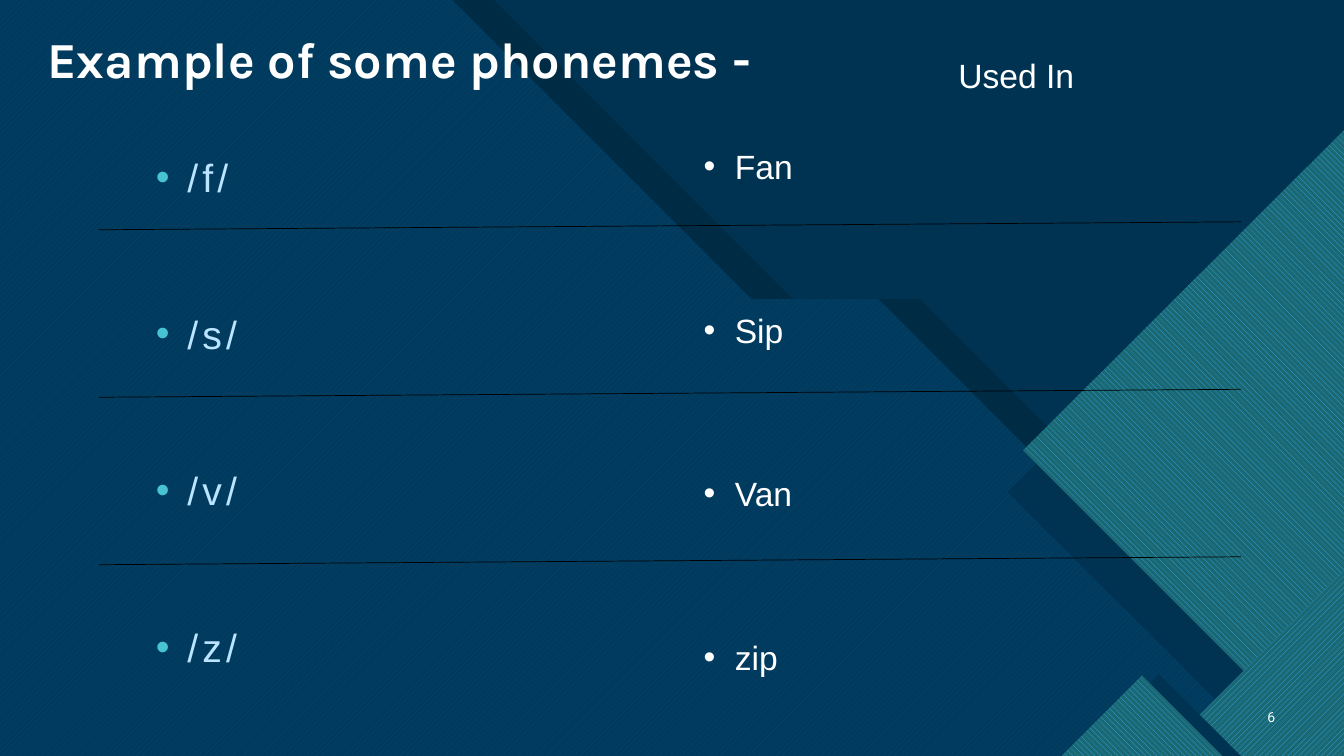
"""Build the phoneme example slide with its layered diagonal backdrop."""
from dataclasses import dataclass
from typing import Any, Optional

from lxml import etree
from pptx import Presentation
from pptx.dml.color import RGBColor
from pptx.enum.dml import MSO_PATTERN
from pptx.enum.shapes import MSO_CONNECTOR
from pptx.enum.text import MSO_ANCHOR, MSO_AUTO_SIZE, PP_ALIGN
from pptx.oxml.ns import qn
from pptx.util import Cm, Pt

UP = MSO_PATTERN.WIDE_UPWARD_DIAGONAL
DOWN = MSO_PATTERN.WIDE_DOWNWARD_DIAGONAL
STRAIGHT = MSO_CONNECTOR.STRAIGHT
TOP, MID, BASE = MSO_ANCHOR.TOP, MSO_ANCHOR.MIDDLE, MSO_ANCHOR.BOTTOM
LEFT, RIGHT = PP_ALIGN.LEFT, PP_ALIGN.RIGHT
FIXED = MSO_AUTO_SIZE.NONE

NAVY = RGBColor(0x00, 0x33, 0x52)
BLACK = RGBColor(0x00, 0x00, 0x00)
WHITE = RGBColor(0xFF, 0xFF, 0xFF)
AQUA = RGBColor(0x47, 0xC3, 0xD3)
BLUE = RGBColor(0x00, 0x65, 0xA4)
SKY = RGBColor(0x2F, 0xAF, 0xFF)
TEAL = RGBColor(0x1B, 0x68, 0x72)
PALE = RGBColor(0xBA, 0xE4, 0xFF)

WIDE, HIGH = 33.87, 19.05
STEP, FLAT = 7.54, 3.2
INDENT = 0.79

Points = list[tuple[float, float]]


@dataclass
class Panel:
    """A filled outline of the backdrop."""
    points: Points
    color: RGBColor
    back: Optional[RGBColor] = None
    hatch: Any = None
    alpha: int = 100


@dataclass
class Label:
    """A block of text and its format."""
    lines: list[str]
    box: tuple[float, float, float, float]
    size: float
    color: RGBColor = WHITE
    face: str = "Arial"
    bold: bool = False
    align: Any = LEFT
    anchor: Any = TOP
    leading: float = 1.0
    gap: float = 0
    track: int = 0
    dot: Optional[RGBColor] = None


def field(left: float) -> Points:
    """Give the stepped outline whose upper edge begins at left."""
    rise = min(HIGH, WIDE - FLAT - left)
    far = left + FLAT + rise
    return [(0, 0), (left, 0), (left + STEP, STEP), (left + STEP + FLAT, STEP),
            (far, rise), (far, HIGH), (0, HIGH)]


def peak(mid: float, top: float) -> Points:
    """Give a right-angled peak that stands on the lower edge."""
    half = HIGH - top
    return [(mid - half, HIGH), (mid, top), (mid + half, HIGH)]


PANELS = [
    Panel(field(12.45), BLACK),
    Panel(field(11.4), AQUA, BLUE, UP),
    Panel(field(17.65), NAVY, alpha=85),
    Panel([(WIDE, 3.94), (WIDE, 17.98), (30.99, 17.98), (25.4, 12.4)], NAVY),
    Panel([(WIDE, 3.28), (WIDE, 18.72), (33.15, 18.72), (25.78, 11.35)], SKY, TEAL, DOWN),
    Panel([(WIDE, 14.38), (WIDE, HIGH), (29.2, HIGH)], SKY, TEAL, UP),
    Panel(peak(29.21, 16.99), NAVY),
    Panel(peak(28.78, 17.02), SKY, TEAL, DOWN),
]

TITLE = Label(["Example of some phonemes -"], (0.94, 0, 21.62, 2.39), 36,
              face="Karla", bold=True, anchor=BASE, leading=0.9)
LABELS = [
    Label(["/f/", "/s/", "/v/", "/z/"], (3.68, 3.97, 9.5, 13.9), 28, PALE,
          leading=0.8, gap=85, track=300, dot=AQUA),
    Label(["6"], (31.27, 17.55, 1.12, 1.02), 10, face="Roboto", align=RIGHT, anchor=MID),
    Label(["Used In"], (23.9, 1.27, 3.45, 1.27), 24),
    Label(["Fan", "Sip", "Van", "zip"], (17.48, 3.56, 6.73, 13.59), 24, gap=88, dot=WHITE),
]


def apply(target: Any, values: dict[str, Any]) -> None:
    """Set each named value on the target."""
    for name, value in values.items():
        setattr(target, name, value)


def paint(shapes: Any, panel: Panel) -> None:
    """Draw one panel."""
    first, *rest = [(Cm(x), Cm(y)) for x, y in panel.points]
    pen = shapes.build_freeform(*first)
    pen.add_line_segments(rest)
    shape = pen.convert_to_shape()
    shape.shadow.inherit = False
    shape.line.fill.background()
    fill = shape.fill
    if panel.back is None:
        fill.solid()
    else:
        fill.patterned()
        fill.pattern = panel.hatch
        fill.back_color.rgb = panel.back
    fill.fore_color.rgb = panel.color
    if panel.alpha < 100:
        tint = next(shape.element.spPr.iter(qn("a:srgbClr")))
        etree.SubElement(tint, qn("a:alpha"), val=str(panel.alpha * 1000))


def add_dot(para: Any, color: RGBColor) -> None:
    """Give a paragraph a round bullet and a hanging indent."""
    props = para._p.get_or_add_pPr()
    props.set("marL", str(Cm(INDENT)))
    props.set("indent", str(-Cm(INDENT)))
    tint = etree.SubElement(props, qn("a:buClr"))
    etree.SubElement(tint, qn("a:srgbClr"), val=str(color))
    etree.SubElement(props, qn("a:buFont"), typeface="Arial")
    etree.SubElement(props, qn("a:buChar"), char="•")


def write(shape: Any, label: Label) -> None:
    """Place a text shape and fill it with the label."""
    left, top, width, height = map(Cm, label.box)
    apply(shape, {"left": left, "top": top, "width": width, "height": height})
    frame = shape.text_frame
    apply(frame, {"word_wrap": True, "auto_size": FIXED, "vertical_anchor": label.anchor})
    for index, line in enumerate(label.lines):
        para = frame.add_paragraph() if index else frame.paragraphs[0]
        if label.dot is not None:
            add_dot(para, label.dot)
        apply(para, {"alignment": label.align, "line_spacing": label.leading,
                     "space_before": Pt(label.gap if index else 0)})
        run = para.add_run()
        run.text = line
        apply(run.font, {"name": label.face, "size": Pt(label.size), "bold": label.bold})
        run.font.color.rgb = label.color
        if label.track:
            run._r.get_or_add_rPr().set("spc", str(label.track))


def rule(shapes: Any, top: float) -> None:
    """Draw one slightly rising line between rows."""
    line = shapes.add_connector(STRAIGHT, Cm(2.49), Cm(top), Cm(31.27), Cm(top - 0.2))
    line.line.color.rgb = BLACK
    line.line.width = Pt(0.5)
    etree.SubElement(line.element.spPr, qn("a:effectLst"))


def main() -> None:
    """Build and save the slide."""
    deck = Presentation()
    apply(deck, {"slide_width": Cm(WIDE), "slide_height": Cm(HIGH)})
    slide = deck.slides.add_slide(deck.slide_layouts[5])
    ground = slide.background.fill
    ground.solid()
    ground.fore_color.rgb = NAVY
    shapes = slide.shapes
    for panel in PANELS:
        paint(shapes, panel)
    title = shapes.title
    shapes._spTree.append(title.element)
    write(title, TITLE)
    for row in range(3):
        rule(shapes, 5.79 + 4.22 * row)
    for label in LABELS:
        write(shapes.add_textbox(0, 0, 0, 0), label)
    deck.save("out.pptx")


if __name__ == "__main__":
    main()
